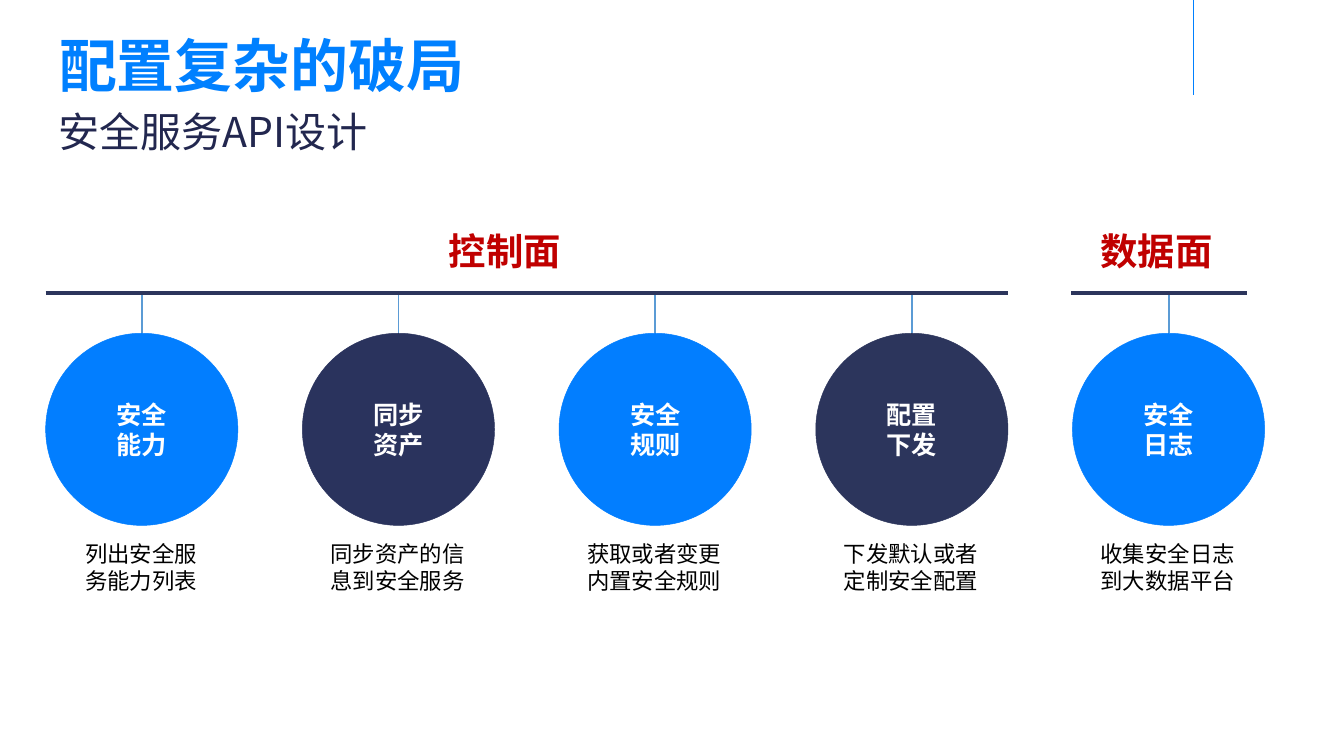
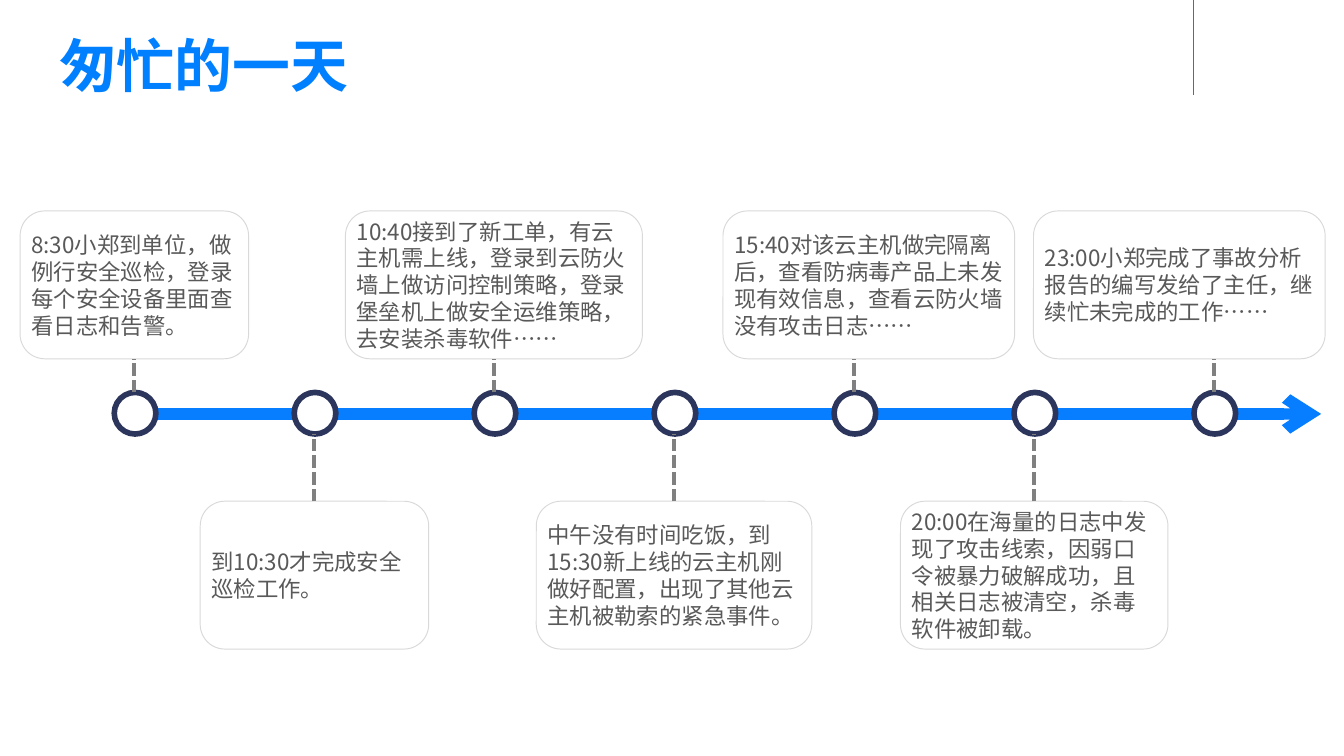
"""Build two slides: the security service API design and a busy day's timeline."""

from dataclasses import dataclass

import pptx
import pptx.dml.color
import pptx.enum.dml
import pptx.enum.shapes
import pptx.enum.text
import pptx.oxml.ns
import pptx.presentation
import pptx.shapes.autoshape
import pptx.shapes.connector
import pptx.slide
import pptx.text.text
import pptx.util
from lxml import etree

RGBColor = pptx.dml.color.RGBColor
Shapes = pptx.enum.shapes.MSO_SHAPE
Anchor = pptx.enum.text.MSO_ANCHOR
Align = pptx.enum.text.PP_ALIGN
AutoSize = pptx.enum.text.MSO_AUTO_SIZE

TITLE_BLUE = RGBColor(0x00, 0x80, 0xFF)
BLUE = RGBColor(0x02, 0x7E, 0xFF)
ARROW_BLUE = RGBColor(0x06, 0x7E, 0xFF)
STEM_BLUE = RGBColor(0x5B, 0x9B, 0xD5)
INK = RGBColor(0x22, 0x27, 0x4F)
INDIGO = RGBColor(0x2A, 0x33, 0x5D)
NAVY = RGBColor(0x2C, 0x35, 0x5C)
RED = RGBColor(0xC0, 0x00, 0x00)
BLACK = RGBColor(0x00, 0x00, 0x00)
WHITE = RGBColor(0xFF, 0xFF, 0xFF)
BODY_GRAY = RGBColor(0x59, 0x59, 0x59)
DOT_GRAY = RGBColor(0x80, 0x80, 0x80)
BORDER_GRAY = RGBColor(0xD9, 0xD9, 0xD9)

CJK_FONT = "Noto Sans CJK SC"
LATIN_FONT = "Calibri"
LINE_HEIGHT = 1.2

COLUMNS, ROWS = 100, 56.25
CELL = pptx.util.Inches(0.1)
MARGIN = 3.4

STEP_PITCH, STEP_SIZE, STEP_TOP = 19.1, 14.3, 24.8
RAIL_ROW = 21.8

NODE_LEFT, NODE_PITCH, NODE_SIZE, NODE_TOP = 8.5, 13.39, 3.1, 29.2
CARD_HEIGHT, UPPER_ROW, LOWER_ROW = 11, 15.7, 37.3


@dataclass(frozen=True)
class Box:
    """Position and size in grid cells."""

    left: float
    top: float
    width: float
    height: float


@dataclass(frozen=True)
class Step:
    """One API capability with its caption."""

    name: str
    caption: str
    color: RGBColor


@dataclass(frozen=True)
class Rail:
    """One plane heading with the horizontal rule below it."""

    heading: str
    heading_left: float
    start: float
    end: float


@dataclass(frozen=True)
class Event:
    """One card of the day's timeline."""

    left: float
    width: float
    story: str


STEPS = (
    Step("安全\n能力", "列出安全服\n务能力列表", BLUE),
    Step("同步\n资产", "同步资产的信\n息到安全服务", INDIGO),
    Step("安全\n规则", "获取或者变更\n内置安全规则", BLUE),
    Step("配置\n下发", "下发默认或者\n定制安全配置", NAVY),
    Step("安全\n日志", "收集安全日志\n到大数据平台", BLUE),
)

RAILS = (
    Rail("控制面", 32.4, MARGIN, 75),
    Rail("数据面", 80.9, 79.7, 92.8),
)

EVENTS = (
    Event(1.5, 17, "8:30小郑到单位，做例行安全巡检，登录每个安全设备里面查看日志和告警。"),
    Event(14.9, 17, "到10:30才完成安全巡检工作。"),
    Event(25.7, 22.1, "10:40接到了新工单，有云主机需上线，登录到云防火墙上做访问控制策略，"
          "登录堡垒机上做安全运维策略，去安装杀毒软件……"),
    Event(39.9, 20.5, "中午没有时间吃饭，到15:30新上线的云主机刚做好配置，"
          "出现了其他云主机被勒索的紧急事件。"),
    Event(53.8, 21.7, "15:40对该云主机做完隔离后，查看防病毒产品上未发现有效信息，"
          "查看云防火墙没有攻击日志……"),
    Event(67, 19.9, "20:00在海量的日志中发现了攻击线索，因弱口令被暴力破解成功，"
          "且相关日志被清空，杀毒软件被卸载。"),
    Event(76.9, 21.7, "23:00小郑完成了事故分析报告的编写发给了主任，继续忙未完成的工作……"),
)


def grid(cells: float) -> pptx.util.Emu:
    """Turn grid cells into a length."""
    return pptx.util.Emu(round(cells * CELL))


def place(box: Box) -> tuple:
    """Give the four lengths of a box."""
    return grid(box.left), grid(box.top), grid(box.width), grid(box.height)


def write(frame: pptx.text.text.TextFrame, text: str, *, size: float, color: RGBColor,
          font: str = CJK_FONT, bold: bool = False, align: Align = Align.LEFT,
          anchor: Anchor = Anchor.TOP, wrap: bool = True,
          fit: AutoSize = AutoSize.SHAPE_TO_FIT_TEXT) -> None:
    """Fill a frame with one paragraph per line of text."""
    frame.text = text
    frame.word_wrap = wrap
    frame.vertical_anchor = anchor
    frame.auto_size = fit
    for paragraph in frame.paragraphs:
        paragraph.alignment = align
        paragraph.line_spacing = pptx.util.Pt(size * LINE_HEIGHT)
        for run in paragraph.runs:
            run.font.name = font
            run.font.size = pptx.util.Pt(size)
            run.font.bold = bold
            run.font.color.rgb = color
            east_asian = etree.SubElement(run.font._element, pptx.oxml.ns.qn("a:ea"))
            east_asian.set("typeface", CJK_FONT)


def add_label(slide: pptx.slide.Slide, box: Box, text: str, **style) -> None:
    """Add a text box."""
    write(slide.shapes.add_textbox(*place(box)).text_frame, text, **style)


def add_figure(slide: pptx.slide.Slide, kind: Shapes, box: Box, fill: RGBColor,
               border: RGBColor, weight: float) -> pptx.shapes.autoshape.Shape:
    """Add a filled and outlined preset shape."""
    figure = slide.shapes.add_shape(kind, *place(box))
    figure.shadow.inherit = False
    figure.fill.solid()
    figure.fill.fore_color.rgb = fill
    figure.line.color.rgb = border
    figure.line.width = pptx.util.Pt(weight)
    return figure


def add_line(slide: pptx.slide.Slide, start: tuple[float, float], end: tuple[float, float],
             color: RGBColor, weight: float) -> pptx.shapes.connector.Connector:
    """Add a straight line without shadow."""
    line = slide.shapes.add_connector(
        pptx.enum.shapes.MSO_CONNECTOR.STRAIGHT, *map(grid, start + end))
    line.line.color.rgb = color
    line.line.width = pptx.util.Pt(weight)
    etree.SubElement(line._element.spPr, pptx.oxml.ns.qn("a:effectLst"))
    return line


def start_slide(deck: pptx.presentation.Presentation, title: str,
                title_width: float) -> pptx.slide.Slide:
    """Add a slide with the shared title style and corner rule."""
    slide = deck.slides.add_slide(deck.slide_layouts[5])
    heading = slide.shapes.title
    heading.left, heading.top, heading.width, heading.height = place(
        Box(MARGIN, 1.7, title_width, 6.2))
    write(heading.text_frame, title, size=31, color=TITLE_BLUE, bold=True)
    add_line(slide, (88.8, 0), (88.8, 7.1), TITLE_BLUE, 1)
    return slide


def add_step(slide: pptx.slide.Slide, index: int, step: Step) -> None:
    """Draw a capability circle, its stem and its caption."""
    left = MARGIN + index * STEP_PITCH
    center = left + STEP_SIZE / 2
    circle = add_figure(slide, Shapes.OVAL, Box(left, STEP_TOP, STEP_SIZE, STEP_SIZE),
                        step.color, step.color, 0.25)
    write(circle.text_frame, step.name, size=13.5, color=WHITE, font=LATIN_FONT, bold=True,
          align=Align.CENTER, anchor=Anchor.MIDDLE, fit=AutoSize.NONE)
    add_line(slide, (center, RAIL_ROW), (center, STEP_TOP), STEM_BLUE, 1)
    width = 1.9 + 1.7 * len(step.caption.split("\n")[0])
    add_label(slide, Box(center - width / 2, 39.7, width, 5), step.caption,
              size=12, color=BLACK, wrap=False)


def build_api_slide(deck: pptx.presentation.Presentation) -> None:
    """Build the API design slide."""
    slide = start_slide(deck, "配置复杂的破局", 48)
    add_label(slide, Box(MARGIN, 7.4, 25.3, 4.7), "安全服务API设计", size=22, color=INK)
    for index, step in enumerate(STEPS):
        add_step(slide, index, step)
    for rail in RAILS:
        add_label(slide, Box(rail.heading_left, 16.5, 10.6, 4.4), rail.heading,
                  size=20, color=RED, bold=True)
        add_line(slide, (rail.start, RAIL_ROW), (rail.end, RAIL_ROW), NAVY, 2)


def add_event(slide: pptx.slide.Slide, index: int, event: Event) -> None:
    """Draw a node, its card above or below, and the dotted stem between them."""
    above = index % 2 == 0
    left = NODE_LEFT + index * NODE_PITCH
    add_figure(slide, Shapes.OVAL, Box(left, NODE_TOP, NODE_SIZE, NODE_SIZE), WHITE, NAVY, 3)
    card = add_figure(
        slide, Shapes.ROUNDED_RECTANGLE,
        Box(event.left, UPPER_ROW if above else LOWER_ROW, event.width, CARD_HEIGHT),
        WHITE, BORDER_GRAY, 0.5)
    frame = card.text_frame
    frame.margin_left = frame.margin_right = grid(0.3)
    frame.margin_top = frame.margin_bottom = grid(0.1)
    write(frame, event.story, size=12, color=BODY_GRAY, anchor=Anchor.MIDDLE, fit=AutoSize.NONE)
    center = left + 1.5
    start, end = ((NODE_TOP, UPPER_ROW + CARD_HEIGHT) if above
                  else (LOWER_ROW, NODE_TOP + NODE_SIZE))
    stem = add_line(slide, (center, start), (center, end), DOT_GRAY, 2.25)
    stem.line.dash_style = pptx.enum.dml.MSO_LINE.SQUARE_DOT


def build_day_slide(deck: pptx.presentation.Presentation) -> None:
    """Build the timeline slide."""
    slide = start_slide(deck, "匆忙的一天", 41)
    axis = add_line(slide, (8.9, 30.8), (98.3, 30.8), ARROW_BLUE, 6)
    arrowhead = etree.SubElement(axis.line._get_or_add_ln(), pptx.oxml.ns.qn("a:tailEnd"))
    arrowhead.set("type", "arrow")
    for index, event in enumerate(EVENTS):
        add_event(slide, index, event)


def main() -> None:
    """Build and save the deck."""
    deck = pptx.Presentation()
    deck.slide_width, deck.slide_height = grid(COLUMNS), grid(ROWS)
    build_api_slide(deck)
    build_day_slide(deck)
    deck.save("out.pptx")


if __name__ == "__main__":
    main()
